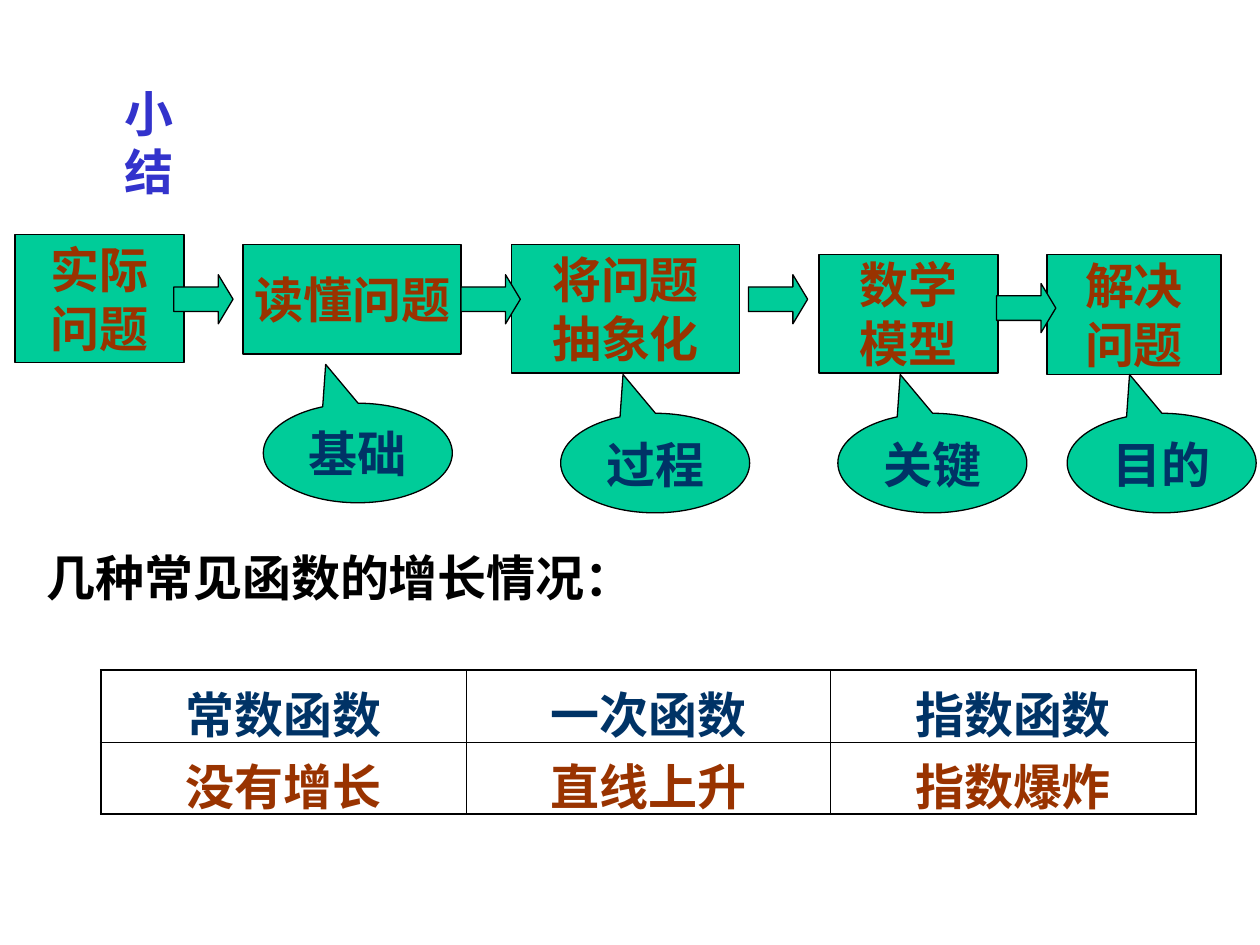
"""Build a summary slide with a modelling flow and a table of function growth."""
import pptx
import pptx.util
import pptx.dml.color
import pptx.enum.shapes
import pptx.enum.text
import pptx.oxml
import pptx.oxml.ns
import lxml.etree

Inches = pptx.util.Inches
Pt = pptx.util.Pt
Kind = pptx.enum.shapes.MSO_SHAPE
Align = pptx.enum.text.PP_ALIGN
Anchor = pptx.enum.text.MSO_ANCHOR
qn = pptx.oxml.ns.qn
HUES = {"title": "3333CC", "fill": "00CC99", "line": "000000",
        "step": "993300", "note": "003366", "text": "000000"}


def write(frame, lines, hue, align, font="Arial"):
    for i, line in enumerate(lines):
        para = frame.paragraphs[0] if i == 0 else frame.add_paragraph()
        para.alignment = align
        run = para.add_run()
        run.text = line
        run.font.size = Pt(28)
        run.font.bold = True
        run.font.name = font
        run.font.color.rgb = pptx.dml.color.RGBColor.from_string(HUES[hue])
        east = lxml.etree.SubElement(run.font._element, qn("a:ea"))
        east.set("typeface", "Noto Sans CJK SC")


def draw(kind, left, top, width, height):
    shape = slide.shapes.add_shape(
        kind, Inches(left), Inches(top), Inches(width), Inches(height))
    shape.shadow.inherit = False
    shape.fill.solid()
    shape.fill.fore_color.rgb = pptx.dml.color.RGBColor.from_string(HUES["fill"])
    shape.line.color.rgb = pptx.dml.color.RGBColor.from_string(HUES["line"])
    shape.line.width = Pt(0.75)
    return shape


deck = pptx.Presentation()
deck.slide_width, deck.slide_height = Inches(10), Inches(7.5)
slide = deck.slides.add_slide(deck.slide_layouts[6])

title = slide.shapes.add_textbox(Inches(0.89), Inches(0.61), Inches(0.97), Inches(0.79))
title.text_frame.word_wrap = False
write(title.text_frame, ["小结"], "title", Align.LEFT, "Noto Sans CJK SC")

steps = [
    (0.12, 1.86, 1.34, 1.02, ["实际", "问题"]),
    (1.93, 1.94, 1.73, 0.87, ["读懂问题"]),
    (4.06, 1.94, 1.81, 1.02, ["将问题", "抽象化"]),
    (6.5, 2.02, 1.42, 0.94, ["数学", "模型"]),
    (8.31, 2.02, 1.38, 0.95, ["解决", "问题"]),
]
for left, top, width, height, lines in steps:
    box = draw(Kind.RECTANGLE, left, top, width, height)
    box.text_frame.word_wrap = False
    box.text_frame.vertical_anchor = Anchor.MIDDLE
    write(box.text_frame, lines, "step", Align.CENTER)

for left, top in [(1.38, 2.18), (3.66, 2.18), (5.94, 2.18), (7.91, 2.25)]:
    arrow = draw(Kind.RIGHT_ARROW, left, top, 0.47, 0.39)
    arrow.adjustments[0], arrow.adjustments[1] = 0.5, 0.3

notes = [(2.09, 3.2, "基础"), (4.45, 3.28, "过程"),
         (6.65, 3.28, "关键"), (8.47, 3.28, "目的")]
for left, top, word in notes:
    bubble = draw(Kind.OVAL_CALLOUT, left, top, 1.5, 0.79)
    bubble.adjustments[0], bubble.adjustments[1] = -0.17, -0.89
    bubble.text_frame.word_wrap = True
    bubble.text_frame.vertical_anchor = Anchor.TOP
    write(bubble.text_frame, [word], "note", Align.CENTER)

lead = slide.shapes.add_textbox(Inches(0.27), Inches(4.3), Inches(5.12), Inches(0.57))
lead.text_frame.word_wrap = True
write(lead.text_frame, ["几种常见函数的增长情况："], "text", Align.LEFT)

rows = [("note", ["常数函数", "一次函数", "指数函数"]),
        ("step", ["没有增长", "直线上升", "指数爆炸"])]
table = slide.shapes.add_table(
    2, 3, Inches(0.8), Inches(5.32), Inches(8.69), Inches(1.14)).table
table.first_row = table.horz_banding = False
for col, width in zip(table.columns, (2.9, 2.89, 2.9)):
    col.width = Inches(width)
for y, (hue, words) in enumerate(rows):
    table.rows[y].height = Inches(0.57)
    for x, word in enumerate(words):
        cell = table.cell(y, x)
        cell.fill.background()
        cell.margin_top = cell.margin_bottom = Inches(0.05)
        write(cell.text_frame, [word], hue, Align.CENTER, "Times New Roman")
        props = cell._tc.get_or_add_tcPr()
        outer = {"L": x == 0, "R": x == 2, "T": y == 0, "B": y == 1}
        for i, (side, edge) in enumerate(outer.items()):
            line = lxml.etree.Element(qn("a:ln" + side))
            line.set("w", str(Pt(1.08 if edge else 0.45)))
            solid = lxml.etree.SubElement(line, qn("a:solidFill"))
            lxml.etree.SubElement(solid, qn("a:srgbClr")).set("val", HUES["line"])
            props.insert(i, line)

deck.save("out.pptx")
